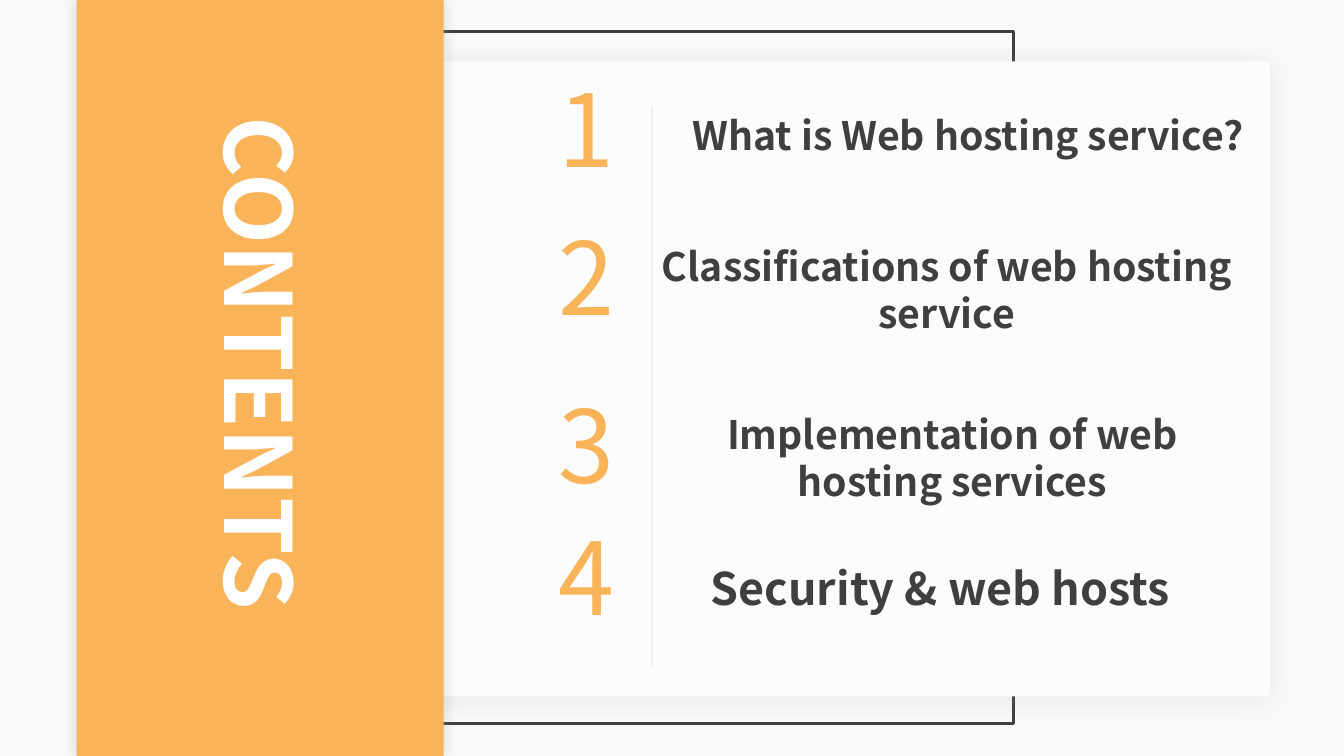
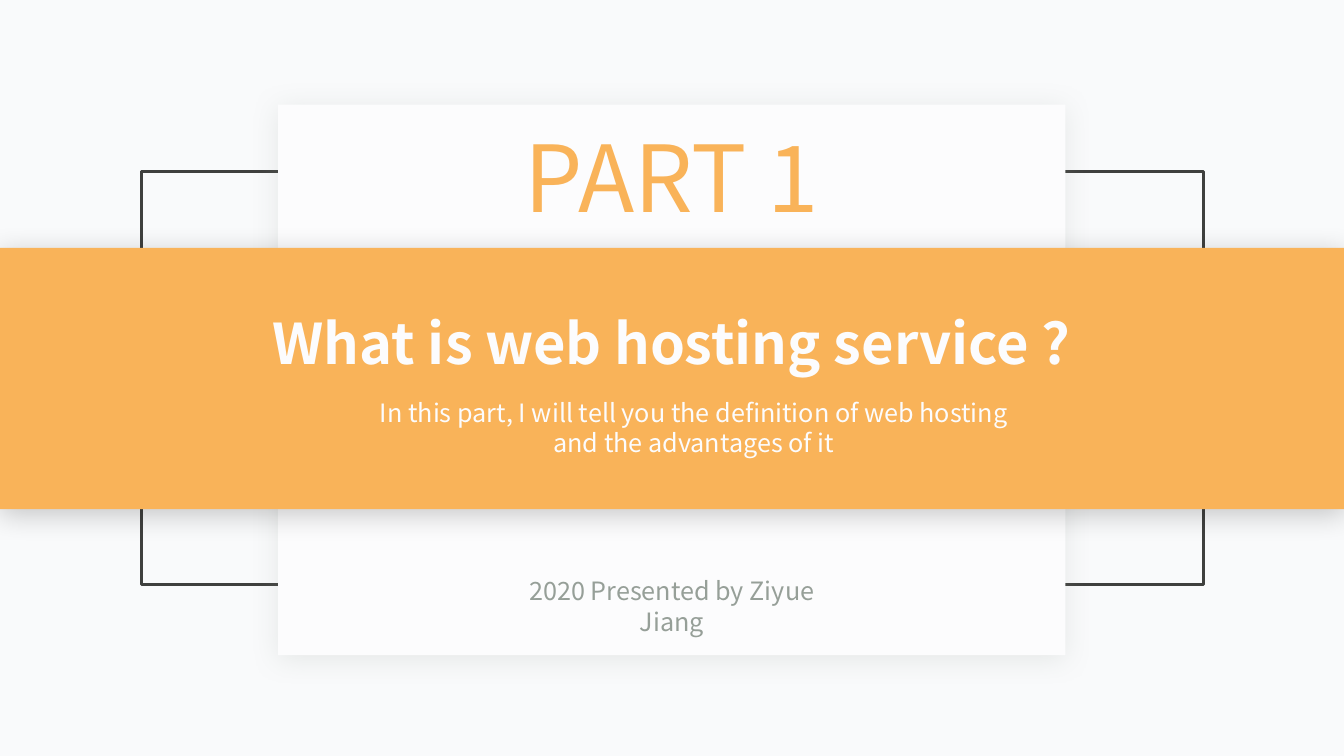
from lxml import etree
from pptx import Presentation
from pptx.dml.color import RGBColor
from pptx.enum.shapes import MSO_CONNECTOR, MSO_SHAPE
from pptx.enum.text import MSO_ANCHOR, MSO_AUTO_SIZE, PP_ALIGN
from pptx.oxml.ns import qn
from pptx.util import Cm, Pt

RECTANGLE = MSO_SHAPE.RECTANGLE
STRAIGHT = MSO_CONNECTOR.STRAIGHT
TOP = MSO_ANCHOR.TOP
NO_AUTOFIT = MSO_AUTO_SIZE.NONE
LEFT = PP_ALIGN.LEFT
CENTER = PP_ALIGN.CENTER

PAPER = RGBColor(0xF9, 0xFA, 0xFB)
CARD = RGBColor(0xFC, 0xFC, 0xFD)
ORANGE = RGBColor(0xF9, 0xB3, 0x59)
DARK = RGBColor(0x3F, 0x40, 0x3E)
GRAY = RGBColor(0x96, 0x9F, 0x98)
WHITE = RGBColor(0xFF, 0xFF, 0xFF)
BLACK = RGBColor(0, 0, 0)

FONT = "Noto Sans CJK SC"
WIDTH, HEIGHT = 33.87, 19.05
TITLE_ONLY = 5


class Deck:
    """Shared style and the slide being filled; boxes are (left, top, width, height) in cm."""

    def __init__(self):
        self.presentation = Presentation()
        self.presentation.slide_width = Cm(WIDTH)
        self.presentation.slide_height = Cm(HEIGHT)
        background = self.presentation.slide_master.background.fill
        background.solid()
        background.fore_color.rgb = PAPER
        self.slide = None

    def add_slide(self):
        layout = self.presentation.slide_layouts[TITLE_ONLY]
        self.slide = self.presentation.slides.add_slide(layout)

    def rectangle(self, box):
        shape = self.slide.shapes.add_shape(RECTANGLE, *map(Cm, box))
        shape.shadow.inherit = False
        return shape

    def frame(self, box):
        shape = self.rectangle(box)
        shape.fill.background()
        shape.line.color.rgb = DARK
        shape.line.width = Pt(2)

    def panel(self, box, color, shadow_color=GRAY, opacity=20, blur=20, distance=3):
        """Filled rectangle with a soft shadow falling downwards."""
        shape = self.rectangle(box)
        shape.fill.solid()
        shape.fill.fore_color.rgb = color
        shape.line.fill.background()
        effects = shape.element.spPr.find(qn("a:effectLst"))
        shadow = etree.SubElement(
            effects, qn("a:outerShdw"), blurRad=str(Pt(blur)),
            dist=str(Pt(distance)), dir="5400000", algn="t", rotWithShape="0")
        tint = etree.SubElement(shadow, qn("a:srgbClr"), val=str(shadow_color))
        etree.SubElement(tint, qn("a:alpha"), val=str(opacity * 1000))

    def divider(self, x, top, bottom):
        line = self.slide.shapes.add_connector(STRAIGHT, Cm(x), Cm(top), Cm(x), Cm(bottom))
        line.line.color.rgb = GRAY
        line.line.width = Pt(0.5)
        properties = line.element.spPr
        tint = next(properties.iter(qn("a:srgbClr")))
        etree.SubElement(tint, qn("a:alpha"), val="40000")
        etree.SubElement(properties, qn("a:effectLst"))

    def text(self, box, text, size, color, bold=False, spacing=0):
        shape = self.slide.shapes.add_textbox(*map(Cm, box))
        self.fill_text(shape, text, size, color, bold, CENTER, spacing)

    def title(self, box, text, size, color, alignment=CENTER, rotation=0):
        shape = self.slide.shapes.title
        shape.left, shape.top, shape.width, shape.height = map(Cm, box)
        shape.rotation = rotation
        # The placeholder starts at the back; bring it in front of the band.
        shape.element.getparent().append(shape.element)
        self.fill_text(shape, text, size, color, True, alignment)

    def fill_text(self, shape, text, size, color, bold, alignment, spacing=0):
        frame = shape.text_frame
        frame.word_wrap = True
        frame.auto_size = NO_AUTOFIT
        frame.vertical_anchor = TOP
        paragraph = frame.paragraphs[0]
        paragraph.alignment = alignment
        run = paragraph.add_run()
        run.text = text
        run.font.name = FONT
        run.font.size = Pt(size)
        run.font.bold = bold
        run.font.color.rgb = color
        if spacing:
            run.font._element.set("spc", str(spacing * 100))


def add_contents(deck):
    deck.add_slide()
    deck.frame((6.45, 0.79, 19.1, 17.45))
    deck.panel((6.05, 1.55, 25.96, 16), CARD)
    deck.divider(16.43, 2.69, 16.81)
    entries = [
        (1.55, (16.43, 2.69, 15.93, 1.45), "What is Web hosting service?", 28),
        (5.28, (16.15, 5.97, 15.42, 2.64), "Classifications of web hosting service", 28),
        (9.53, (16.15, 10.21, 15.7, 2.64), "Implementation of web hosting services", 28),
        (12.85, (17.07, 14, 13.26, 1.63), "Security & web hosts", 32),
    ]
    for number, (number_top, box, entry, size) in enumerate(entries, start=1):
        deck.text((13.82, number_top, 1.9, 3.33), str(number), 72, ORANGE, spacing=-3)
        deck.text(box, entry, size, DARK, bold=True)
    deck.panel((1.93, 0, 9.25, HEIGHT), ORANGE, opacity=40, blur=10, distance=0)
    deck.title((-0.28, 8, 13.69, 3.07), "CONTENTS", 66, WHITE, LEFT, rotation=90)


def add_part_opening(deck):
    deck.add_slide()
    deck.frame((3.56, 4.32, 26.77, 10.41))
    deck.panel((7.01, 2.64, 19.84, 13.87), CARD)
    deck.panel((0, 6.25, WIDTH, 6.58), ORANGE, shadow_color=BLACK)
    deck.title((6.17, 7.65, 21.51, 1.96), "What is web hosting service ?", 40, CARD)
    deck.text((8.94, 9.88, 17.09, 1.8),
              "In this part, I will tell you the definition of web hosting "
              "and the advantages of it", 18, CARD)
    deck.text((12.78, 2.9, 8.31, 3.07), "PART 1", 66, ORANGE)
    deck.text((12.32, 14.38, 9.22, 1.02), "2020 Presented by Ziyue Jiang", 18, GRAY)


def main():
    deck = Deck()
    add_contents(deck)
    add_part_opening(deck)
    deck.presentation.save("out.pptx")


if __name__ == "__main__":
    main()
